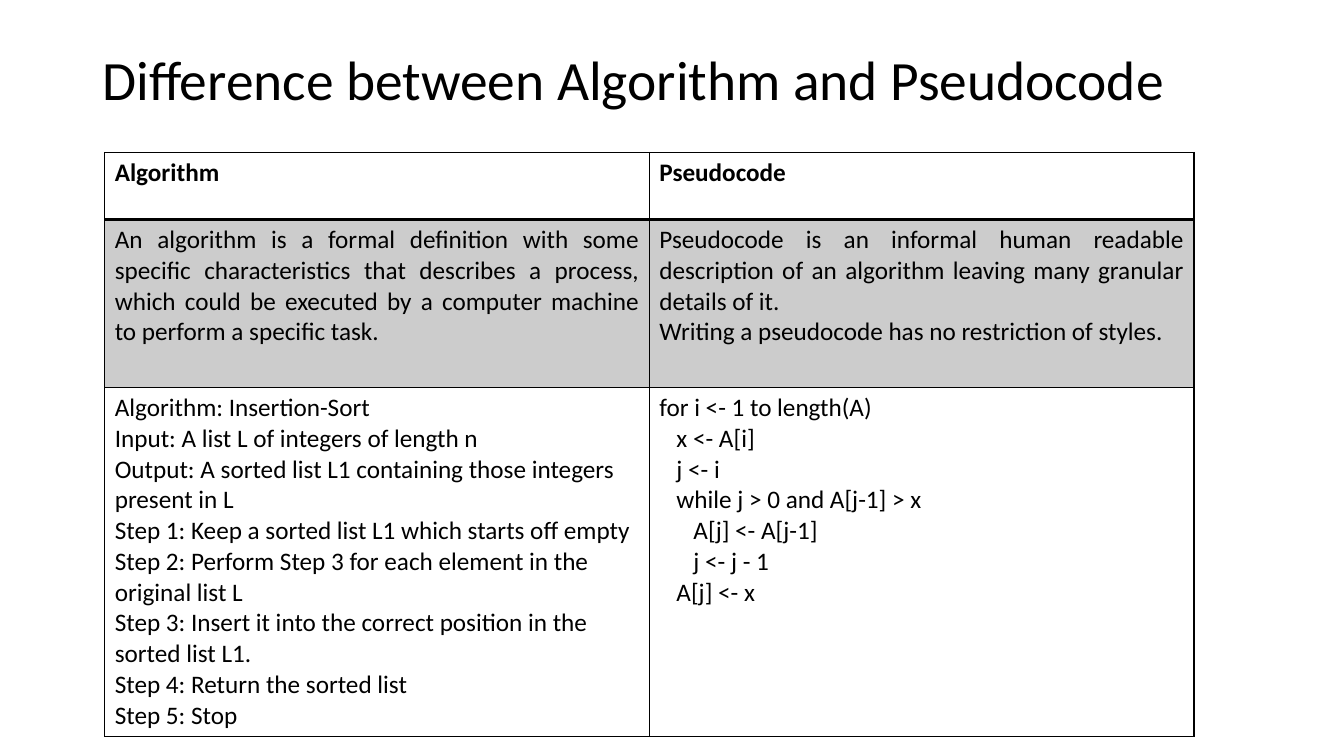
from pptx import Presentation
from pptx.dml.color import RGBColor
from pptx.enum.text import MSO_ANCHOR as Anchor, PP_ALIGN as Align
from pptx.oxml.ns import qn
from pptx.util import Pt
from lxml.etree import SubElement

COLORS = {"black": "000000", "gray": "CCCCCC"}
FONT = "Calibri"
ROW_HEIGHTS = [48, 120, 249]
COLUMN_WIDTH = 389

ROWS = [
    [["Algorithm"], ["Pseudocode"]],
    [
        ["An algorithm is a formal definition with some specific characteristics "
         "that describes a process, which could be executed by a computer machine "
         "to perform a specific task."],
        ["Pseudocode is an informal human readable description of an algorithm "
         "leaving many granular details of it.",
         "Writing a pseudocode has no restriction of styles."],
    ],
    [
        ["Algorithm: Insertion-Sort",
         "Input: A list L of integers of length n",
         "Output: A sorted list L1 containing those integers present in L",
         "Step 1: Keep a sorted list L1 which starts off empty",
         "Step 2: Perform Step 3 for each element in the original list L",
         "Step 3: Insert it into the correct position in the sorted list L1.",
         "Step 4: Return the sorted list",
         "Step 5: Stop"],
        ["for i <- 1 to length(A)",
         "   x <- A[i]",
         "   j <- i",
         "   while j > 0 and A[j-1] > x",
         "      A[j] <- A[j-1]",
         "      j <- j - 1",
         "   A[j] <- x"],
    ],
]


def add_text(paragraph, text, size, bold=False):
    run = paragraph.add_run()
    run.text = text
    run.font.name = FONT
    run.font.size = Pt(size)
    run.font.bold = bold
    run.font.color.rgb = RGBColor.from_string(COLORS["black"])


def add_border(cell, side, width):
    properties = cell._tc.get_or_add_tcPr()
    line = SubElement(properties, qn(f"a:ln{side}"), w=str(Pt(width)))
    fill = SubElement(line, qn("a:solidFill"))
    SubElement(fill, qn("a:srgbClr"), val=COLORS["black"])


presentation = Presentation()
presentation.slide_width = Pt(960)
presentation.slide_height = Pt(540)
slide = presentation.slides.add_slide(presentation.slide_layouts[6])

title = slide.shapes.add_textbox(Pt(66), Pt(28.8), Pt(828), Pt(104.4))
title_frame = title.text_frame
title_frame.word_wrap = True
title_frame.vertical_anchor = Anchor.TOP
title_frame.margin_top = Pt(8.7)
title_paragraph = title_frame.paragraphs[0]
title_paragraph.line_spacing = 0.9
add_text(title_paragraph, "Difference between Algorithm and Pseudocode", 39.6)

table = slide.shapes.add_table(
    len(ROWS), 2, Pt(74.8), Pt(108.9), Pt(2 * COLUMN_WIDTH), Pt(sum(ROW_HEIGHTS))
).table
table.horz_banding = False
table.first_row = False
for column in table.columns:
    column.width = Pt(COLUMN_WIDTH)

for row_index, row in enumerate(ROWS):
    table.rows[row_index].height = Pt(ROW_HEIGHTS[row_index])
    header = row_index == 0
    definition = row_index == 1
    for column_index, lines in enumerate(row):
        cell = table.cell(row_index, column_index)
        add_border(cell, "L", 1)
        add_border(cell, "R", 1)
        add_border(cell, "T", 2 if definition else 1)
        add_border(cell, "B", 2 if header else 1)
        if definition:
            cell.fill.solid()
            cell.fill.fore_color.rgb = RGBColor.from_string(COLORS["gray"])
        else:
            cell.fill.background()
        frame = cell.text_frame
        for line_index, text in enumerate(lines):
            paragraph = frame.add_paragraph() if line_index else frame.paragraphs[0]
            paragraph.alignment = Align.JUSTIFY if definition else Align.LEFT
            add_text(paragraph, text, 18, header)

presentation.save("out.pptx")
